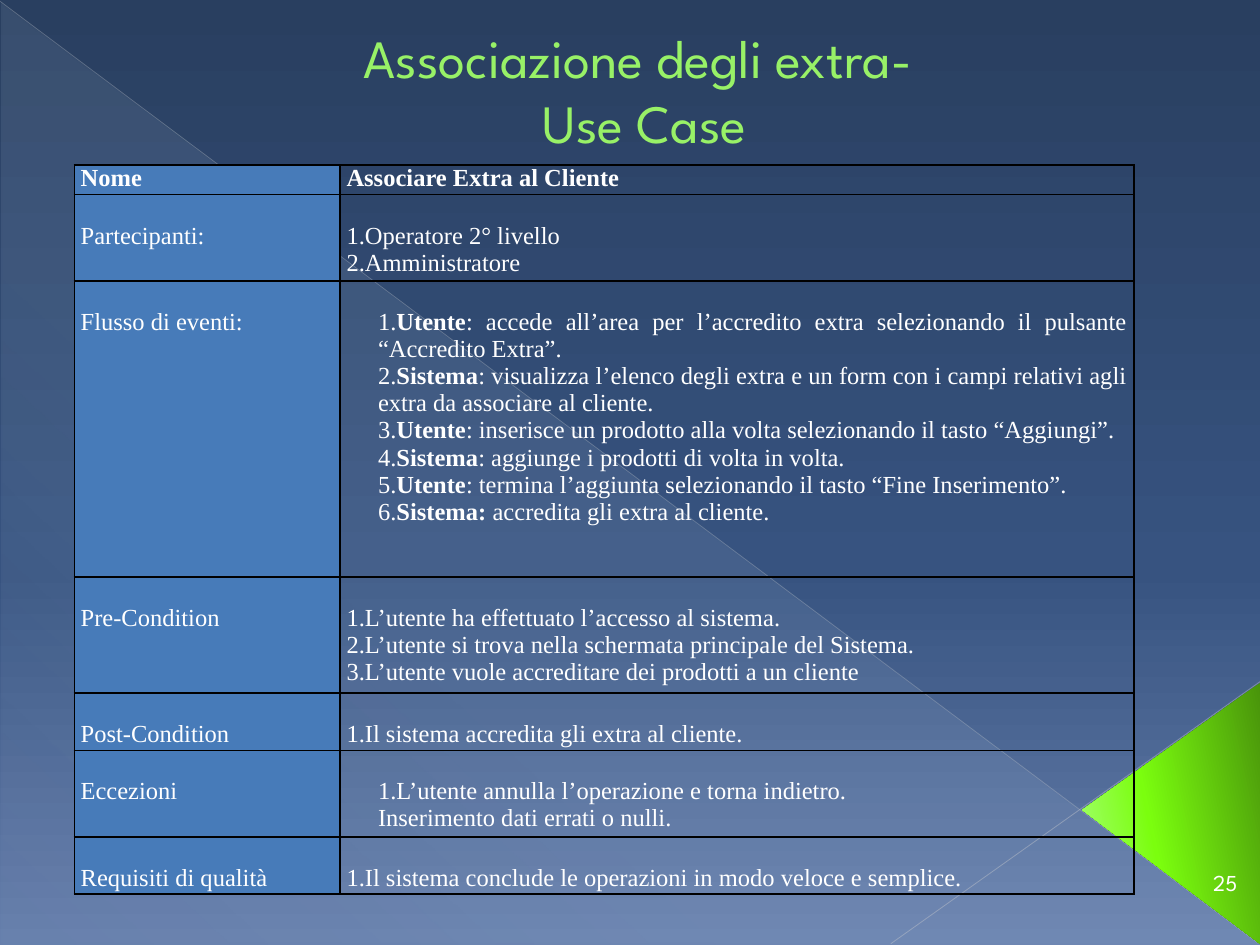
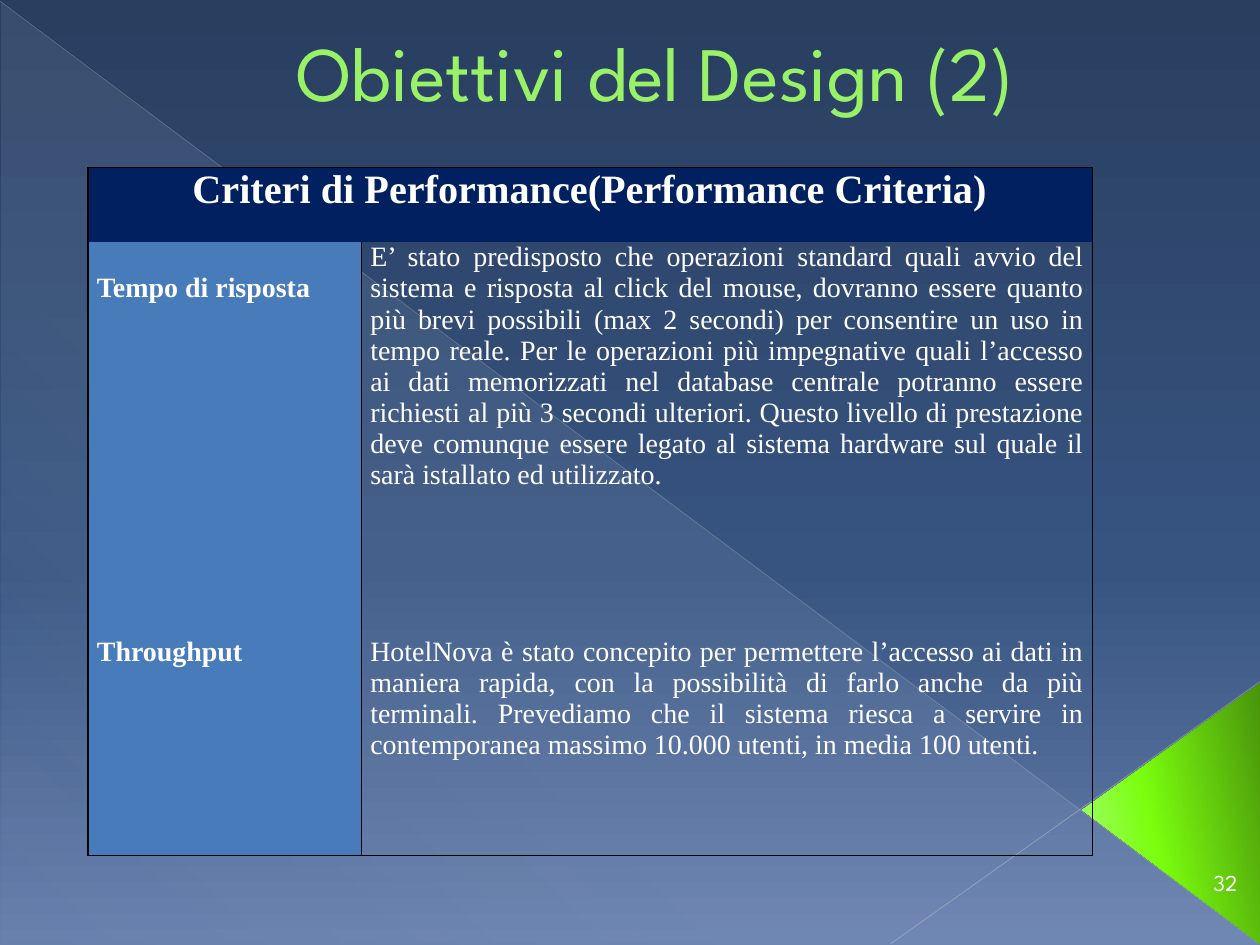
"""Build two slides on hotel software: a use case table and a table of performance criteria."""
from dataclasses import dataclass

from lxml import etree
from pptx import Presentation
from pptx.dml.color import RGBColor
from pptx.enum.shapes import MSO_CONNECTOR as Connector, MSO_SHAPE as Shape
from pptx.enum.text import MSO_ANCHOR as Anchor, PP_ALIGN as Align
from pptx.oxml.ns import qn
from pptx.util import Inches, Pt


@dataclass(frozen=True)
class Theme:
    """Colours, fonts and type sizes of the deck."""
    display_font: str = "League Spartan"
    table_font: str = "Times New Roman"
    white: str = "FFFFFF"
    title: str = "98F167"
    title_outline: str = "589129"
    label: str = "477BB9"
    heading: str = "002060"
    border: str = "000000"
    page_stops: tuple = ((0, "293F60", 100), (60, "375380", 100), (100, "667FAC", 100))
    veil_stops: tuple = ((0, "D6ECFF", 10), (70, "D6ECFF", 8), (100, "D6ECFF", 1))
    arrow_stops: tuple = ((0, "49940B", 100), (60, "7BFE0E", 100), (100, "A8FF7D", 100))
    number_size: float = 13
    use_case_size: float = 14
    criteria_size: float = 16
    heading_size: float = 23


THEME = Theme()
NO_TABLE_STYLE = "{2D5ABB26-0587-4C30-8999-92F81FD0307C}"

USE_CASE = [
    ("**Nome**", ["**Associare Extra al Cliente**"], 0.23, 0),
    ("Partecipanti:", ["1.Operatore 2° livello", "2.Amministratore"], 0.64, 0),
    ("Flusso di eventi:", [
        "1.**Utente**: accede all’area per l’accredito extra selezionando il pulsante “Accredito Extra”.",
        "2.**Sistema**: visualizza l’elenco degli extra e un form con i campi relativi agli extra "
        "da associare al cliente.",
        "3.**Utente**: inserisce un prodotto alla volta selezionando il tasto “Aggiungi”.",
        "4.**Sistema**: aggiunge i prodotti di volta in volta.",
        "5.**Utente**: termina l’aggiunta selezionando il tasto “Fine Inserimento”.",
        "6.**Sistema: **accredita gli extra al cliente.",
    ], 2.35, 0.25),
    ("Pre-Condition", [
        "1.L’utente ha effettuato l’accesso al sistema.",
        "2.L’utente si trova nella schermata principale del Sistema.",
        "3.L’utente vuole accreditare dei prodotti a un cliente",
    ], 0.85, 0),
    ("Post-Condition", ["1.Il sistema accredita gli extra al cliente."], 0.43, 0),
    ("Eccezioni", [
        "1.L’utente annulla l’operazione e torna indietro.",
        "Inserimento dati errati o nulli.",
    ], 0.64, 0.25),
    ("Requisiti di qualità", ["1.Il sistema conclude le operazioni in modo veloce e semplice."], 0.43, 0),
]

CRITERIA_HEADING = "**Criteri di Performance(Performance Criteria)**"
CRITERIA = [
    ("**Tempo di risposta**",
     "E’ stato predisposto che operazioni standard quali avvio del sistema e risposta al click del "
     "mouse, dovranno essere quanto più brevi possibili (max 2 secondi) per consentire un uso in "
     "tempo reale. Per le operazioni più impegnative quali l’accesso ai dati memorizzati nel database "
     "centrale potranno essere richiesti al più 3 secondi ulteriori. Questo livello di prestazione "
     "deve comunque essere legato al sistema hardware sul quale il sarà istallato ed utilizzato.", 2),
    ("**Throughput**",
     "HotelNova è stato concepito per permettere l’accesso ai dati in maniera rapida, con la "
     "possibilità di farlo anche da più terminali. Prevediamo che il sistema riesca a servire in "
     "contemporanea massimo 10.000 utenti, in media 100 utenti.", 1),
]


def add_color(parent, color, opacity=100):
    """Append an RGB colour with an opacity in percent."""
    node = etree.SubElement(parent, qn("a:srgbClr"), val=color)
    if opacity < 100:
        etree.SubElement(node, qn("a:alpha"), val=str(opacity * 1000))


def set_gradient(fill, holder, stops, angle):
    """Give a fill a linear gradient with any number of stops."""
    fill.gradient()
    gradient = next(holder.iter(qn("a:gradFill")))
    for child in list(gradient):
        gradient.remove(child)
    stop_list = etree.SubElement(gradient, qn("a:gsLst"))
    for position, color, opacity in stops:
        stop = etree.SubElement(stop_list, qn("a:gs"), pos=str(position * 1000))
        add_color(stop, color, opacity)
    etree.SubElement(gradient, qn("a:lin"), ang=str(angle * 60000), scaled="0")


def add_gradient_shape(page, kind, frame, stops, angle):
    """Add a borderless preset shape with a gradient."""
    shape = page.shapes.add_shape(kind, *map(Inches, frame))
    shape.shadow.inherit = False
    shape.line.fill.background()
    set_gradient(shape.fill, shape.element.spPr, stops, angle)
    return shape


def add_hairline(page, start, end, color, width, opacity):
    """Add a thin translucent line."""
    line = page.shapes.add_connector(Connector.STRAIGHT, *map(Inches, start + end))
    line.line.width = Pt(width)
    line.line.color.rgb = RGBColor.from_string(color)
    properties = line.element.spPr
    color_node = next(properties.iter(qn("a:srgbClr")))
    etree.SubElement(color_node, qn("a:alpha"), val=str(opacity * 1000))
    etree.SubElement(properties, qn("a:effectLst"))


def style_span(span, font, size, color, bold=None):
    """Set the type of one run."""
    span.font.name = font
    span.font.size = Pt(size)
    span.font.color.rgb = RGBColor.from_string(color)
    span.font.bold = bold


def add_text(page, frame, lines, size, color, anchor):
    """Add a centred text box in the display font."""
    box = page.shapes.add_textbox(*map(Inches, frame))
    body = box.text_frame
    body.word_wrap = True
    body.vertical_anchor = anchor
    body.text = "\n".join(lines)
    for para in body.paragraphs:
        para.alignment = Align.CENTER
        style_span(para.runs[0], THEME.display_font, size, color)
    return body


def add_title(page, frame, lines, size):
    """Add the green outlined title."""
    body = add_text(page, frame, lines, size, THEME.title, Anchor.BOTTOM)
    for para in body.paragraphs:
        properties = para._p.get_or_add_pPr()
        properties.set("marL", str(Inches(0.53)))
        properties.set("indent", "0")
        outline = etree.Element(qn("a:ln"), w=str(Pt(0.5)))
        add_color(etree.SubElement(outline, qn("a:solidFill")), THEME.title_outline)
        para.runs[0].font._element.insert(0, outline)


def add_page(deck, number):
    """Add a blank slide with the diagonal scenery and its number."""
    page = deck.slides.add_slide(deck.slide_layouts[6])
    add_gradient_shape(page, Shape.RIGHT_TRIANGLE, (0.01, 0.02, 9.99, 7.48), THEME.veil_stops, 133)
    add_hairline(page, (0, 0.01), (9.99, 7.49), "B7BCC5", 0.39, 35)
    add_hairline(page, (10, 5.41), (7.07, 7.49), "BFC3CB", 0.47, 45)
    arrow = add_gradient_shape(page, Shape.ISOSCELES_TRIANGLE, (8.26, 5.75, 2.07, 1.41),
                               THEME.arrow_stops, 258)
    arrow.adjustments[0] = 0.513
    arrow.rotation = 270
    add_text(page, (9.45, 6.8, 0.55, 0.4), [str(number)], THEME.number_size, THEME.white, Anchor.MIDDLE)
    return page


def add_plain_table(page, left, top, widths, heights):
    """Add a table without a built-in style."""
    frame = page.shapes.add_table(len(heights), len(widths), Inches(left), Inches(top),
                                  Inches(sum(widths)), Inches(sum(heights)))
    table = frame.table
    table.first_row = table.horz_banding = False
    next(frame.element.iter(qn("a:tableStyleId"))).text = NO_TABLE_STYLE
    for column, width in zip(table.columns, widths):
        column.width = Inches(width)
    for row, height in zip(table.rows, heights):
        row.height = Inches(height)
    return table


def style_cell(cell, fill, edges, side_margin, top_margin=0):
    """Set the fill, margins and the borders named by the letters L, R, T and B."""
    cell.margin_left = cell.margin_right = Inches(side_margin)
    cell.margin_top, cell.margin_bottom = Inches(top_margin), 0
    if fill:
        cell.fill.solid()
        cell.fill.fore_color.rgb = RGBColor.from_string(fill)
    else:
        cell.fill.background()
    properties = cell._tc.get_or_add_tcPr()
    for index, edge in enumerate(edges):
        border = etree.Element(qn(f"a:ln{edge}"), w=str(Pt(1)))
        add_color(etree.SubElement(border, qn("a:solidFill")), THEME.border)
        properties.insert(index, border)


def write_cell(cell, lines, size, align=Align.LEFT, indent=0, spacing=None):
    """Write paragraphs in a cell, with bold between double asterisks."""
    body = cell.text_frame
    for index, line in enumerate(lines):
        para = body.paragraphs[0] if index == 0 else body.add_paragraph()
        para.alignment = align
        para.line_spacing = spacing
        if indent:
            para._p.get_or_add_pPr().set("marL", str(Inches(indent)))
        for part, words in enumerate(line.split("**")):
            if words:
                span = para.add_run()
                span.text = words
                style_span(span, THEME.table_font, size, THEME.white, part % 2 == 1)


def add_use_case_table(page):
    """Add the bordered table that describes the use case."""
    heights = [height for _, _, height, _ in USE_CASE]
    table = add_plain_table(page, 0.59, 1.31, (2.11, 6.3), heights)
    for row, (label, lines, _, indent) in enumerate(USE_CASE):
        label_cell, detail_cell = table.cell(row, 0), table.cell(row, 1)
        top_margin = 0.22 if row else 0
        style_cell(label_cell, THEME.label, "LRTB", 0.05, top_margin)
        style_cell(detail_cell, None, "LRTB", 0.05, top_margin)
        write_cell(label_cell, [label], THEME.use_case_size)
        write_cell(detail_cell, lines, THEME.use_case_size, Align.JUSTIFY, indent)


def add_criteria_table(page):
    """Add the table of performance criteria under a merged heading."""
    table = add_plain_table(page, 0.7, 1.33, (2.17, 5.8), (0.59, 3.13, 1.74))
    heading = table.cell(0, 0)
    heading.merge(table.cell(0, 1))
    for column in range(2):
        style_cell(table.cell(0, column), THEME.heading, "LRT", 0.07)
    write_cell(heading, [CRITERIA_HEADING], THEME.heading_size, Align.CENTER)
    for row, (label, detail, spacing) in enumerate(CRITERIA, 1):
        edges = "LRB" if row == len(CRITERIA) else "LR"
        label_cell, detail_cell = table.cell(row, 0), table.cell(row, 1)
        style_cell(label_cell, THEME.label, edges, 0.07)
        style_cell(detail_cell, None, edges, 0.07)
        write_cell(label_cell, [label], THEME.criteria_size, spacing=spacing)
        write_cell(detail_cell, [detail], THEME.criteria_size, Align.JUSTIFY)


def main():
    """Build and save the deck."""
    deck = Presentation()
    deck.slide_width, deck.slide_height = Inches(10), Inches(7.5)
    master = deck.slide_master
    set_gradient(master.background.fill, master.element, THEME.page_stops, 90)

    use_case_page = add_page(deck, 25)
    add_title(use_case_page, (1.22, 0.29, 7.16, 0.98), ["Associazione degli extra-", " Use Case"], 30.8)
    add_use_case_table(use_case_page)

    criteria_page = add_page(deck, 32)
    add_title(criteria_page, (0.31, 0, 9.26, 0.98), ["Obiettivi del Design (2)"], 44)
    add_criteria_table(criteria_page)

    deck.save("out.pptx")


if __name__ == "__main__":
    main()
